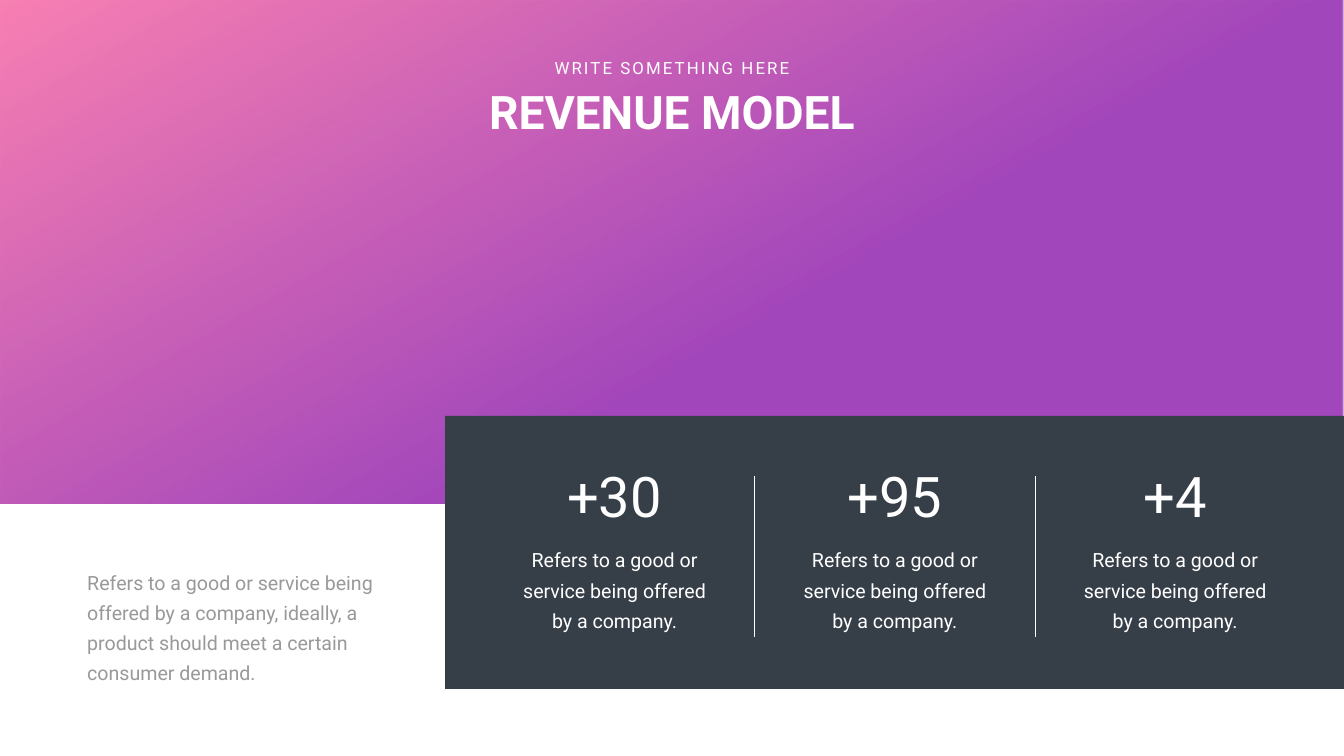
from pptx import Presentation
from pptx.dml.color import RGBColor
from pptx.enum.shapes import MSO_CONNECTOR, MSO_SHAPE
from pptx.enum.text import MSO_ANCHOR, MSO_AUTO_SIZE, PP_ALIGN
from pptx.oxml.ns import qn
from pptx.util import Inches, Pt
from lxml.etree import SubElement

HEADING = "REVENUE MODEL"
KICKER = "WRITE SOMETHING HERE"
INTRO = ("Refers to a good or service being offered by a company, ideally, "
         "a product should meet a certain consumer demand.")
METRIC_NOTE = "Refers to a good or service being offered by a company."
METRICS = [("+30", 2.1), ("+95", 2.1), ("+4", 1.47)]

FONT = "Roboto"
WHITE, SLATE, GREY = "FFFFFF", "363E48", "999999"
GRADIENT = [("F761A0", 0), ("8C1BAB", 0.6)]
BODY_INSETS = (0.24, 0.12)
COLUMN_LEFT, COLUMN_STEP, COLUMN_WIDTH = 10, 5.56, 4.38
DIVIDER_OFFSET = 4.97


def rgb(value):
    return RGBColor.from_string(value)


def add_panel(slide, left, top, width, height):
    panel = slide.shapes.add_shape(
        MSO_SHAPE.RECTANGLE, *map(Inches, (left, top, width, height)))
    panel.shadow.inherit = False
    panel.line.fill.background()
    return panel


def fill_gradient(panel):
    panel.fill.gradient()
    panel.fill.gradient_angle = 300
    for stop, (color, position) in zip(panel.fill.gradient_stops, GRADIENT):
        stop.color.rgb = rgb(color)
        stop.position = position
    for color_element in panel.element.spPr.iter(qn("a:srgbClr")):
        SubElement(color_element, qn("a:alpha"), val="80000")


def write(box, text, size, color=WHITE, align=PP_ALIGN.CENTER, bold=False,
          wrap=True, insets=(0.1, 0.05), line_spacing=None, tracking=None):
    frame = box.text_frame
    frame.text = text
    frame.word_wrap = wrap
    frame.auto_size = MSO_AUTO_SIZE.NONE
    frame.vertical_anchor = MSO_ANCHOR.TOP
    frame.margin_left = frame.margin_right = Inches(insets[0])
    frame.margin_top = frame.margin_bottom = Inches(insets[1])
    paragraph = frame.paragraphs[0]
    paragraph.alignment = align
    if line_spacing:
        paragraph.line_spacing = Pt(line_spacing)
    run = paragraph.runs[0]
    run.font.name = FONT
    run.font.size = Pt(size)
    run.font.bold = bold
    run.font.color.rgb = rgb(color)
    if tracking:
        run.font._element.set("spc", str(tracking * 100))


def add_text(slide, place, text, size, **style):
    write(slide.shapes.add_textbox(*map(Inches, place)), text, size, **style)


def add_body(slide, place, text, **style):
    add_text(slide, place, text, 28, insets=BODY_INSETS, line_spacing=43, **style)


def add_divider(slide, x):
    divider = slide.shapes.add_connector(
        MSO_CONNECTOR.STRAIGHT, *map(Inches, (x, 9.45, x, 12.63)))
    divider.line.color.rgb = rgb(WHITE)
    divider.line.width = Pt(0.5)
    SubElement(divider.element.spPr, qn("a:effectLst"))


def main():
    deck = Presentation()
    deck.slide_width, deck.slide_height = Inches(26.66), Inches(15)
    slide = deck.slides.add_slide(deck.slide_layouts[5])

    fill_gradient(add_panel(slide, 0, 0, 26.66, 10))
    metrics_panel = add_panel(slide, 8.83, 8.25, 17.83, 5.42)
    metrics_panel.fill.solid()
    metrics_panel.fill.fore_color.rgb = rgb(SLATE)

    for index, (figure, width) in enumerate(METRICS):
        left = COLUMN_LEFT + index * COLUMN_STEP
        figure_left = left + (COLUMN_WIDTH - width) / 2
        add_text(slide, (figure_left, 9.1, width, 1.45), figure, 80, wrap=False)
        add_body(slide, (left, 10.63, COLUMN_WIDTH, 2), METRIC_NOTE)
        if index < len(METRICS) - 1:
            add_divider(slide, left + DIVIDER_OFFSET)

    heading = slide.shapes.title
    heading.left, heading.top, heading.width, heading.height = map(
        Inches, (7.61, 1.61, 11.44, 1.21))
    write(heading, HEADING, 66, bold=True)
    heading.element.getparent().append(heading.element)

    add_text(slide, (10.83, 1.1, 5, 0.5), KICKER, 24, wrap=False, tracking=3)
    add_body(slide, (1.49, 11.07, 6.15, 2.6), INTRO, color=GREY, align=PP_ALIGN.LEFT)
    deck.save("out.pptx")


if __name__ == "__main__":
    main()
